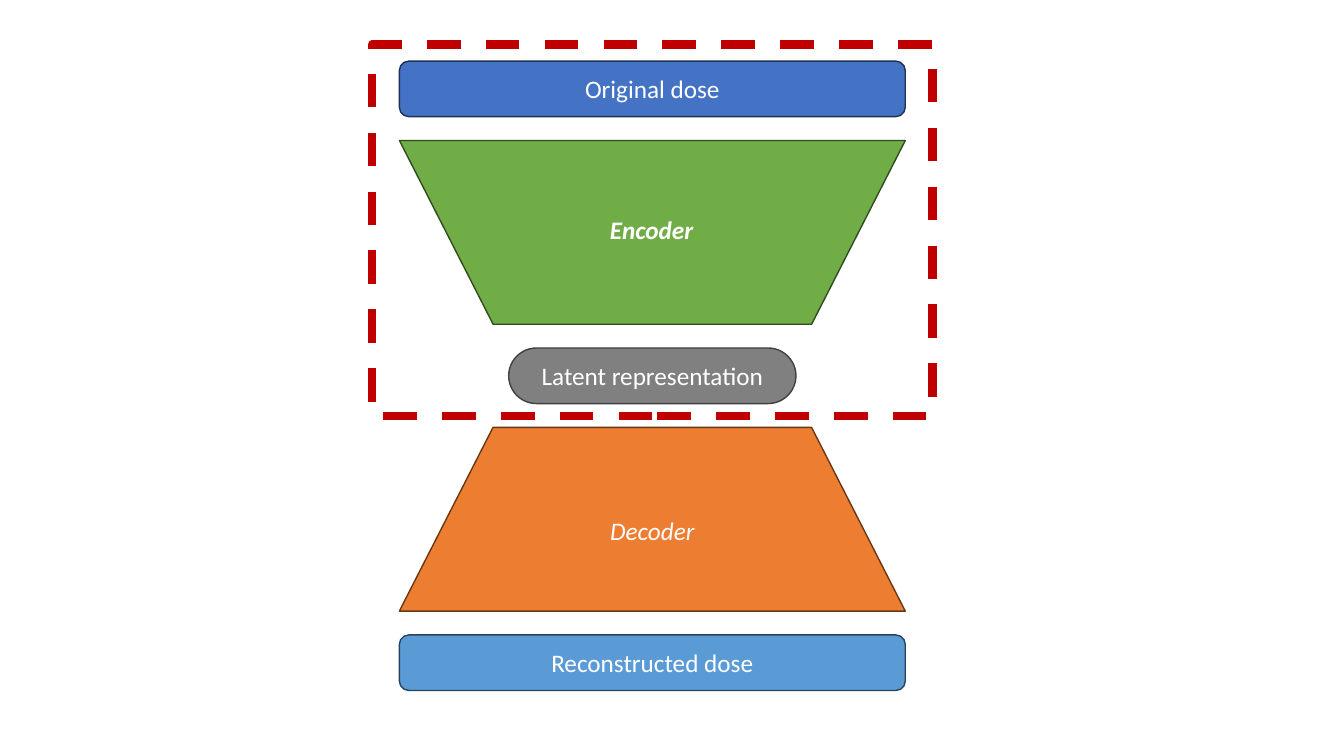
from pptx import Presentation
from pptx.dml.color import RGBColor
from pptx.enum.dml import MSO_LINE
from pptx.enum.shapes import MSO_SHAPE
from pptx.enum.text import MSO_ANCHOR, MSO_AUTO_SIZE, PP_ALIGN
from pptx.util import Cm, Pt

ROUNDED, TRAPEZOID, RECTANGLE = (
    MSO_SHAPE.ROUNDED_RECTANGLE, MSO_SHAPE.TRAPEZOID, MSO_SHAPE.RECTANGLE)
DASH = MSO_LINE.DASH
MIDDLE = MSO_ANCHOR.MIDDLE
FIT_TEXT = MSO_AUTO_SIZE.SHAPE_TO_FIT_TEXT
CENTER = PP_ALIGN.CENTER

THEME = {
    "font": "Calibri", "size": 18, "text": "FFFFFF",
    "outline": 1, "frame_line": 6, "frame": "C00000",
    "original": ("4472C4", "1E3256"),
    "encoder": ("70AD47", "314C1F"),
    "latent": ("808080", "404040"),
    "decoder": ("ED7D31", "683715"),
    "reconstructed": ("5B9BD5", "28445D"),
}


def write(holder, text, bold=None, italic=None, align=CENTER, wrap=True):
    frame = holder.text_frame
    frame.word_wrap = wrap
    frame.vertical_anchor = MIDDLE
    paragraph = frame.paragraphs[0]
    paragraph.alignment = align
    run = paragraph.add_run()
    run.text = text
    run.font.name = THEME["font"]
    run.font.size = Pt(THEME["size"])
    run.font.color.rgb = RGBColor.from_string(THEME["text"])
    run.font.bold = bold
    run.font.italic = italic


def add_block(kind, top, width, height, line_color, line_width, fill=None):
    block = slide.shapes.add_shape(
        kind, Cm(AXIS - width / 2), Cm(top), Cm(width), Cm(height))
    block.shadow.inherit = False
    if fill:
        block.fill.solid()
        block.fill.fore_color.rgb = RGBColor.from_string(fill)
    else:
        block.fill.background()
    block.line.color.rgb = RGBColor.from_string(line_color)
    block.line.width = Pt(line_width)
    return block


deck = Presentation()
deck.slide_width, deck.slide_height = Cm(33.87), Cm(19.05)
slide = deck.slides.add_slide(deck.slide_layouts[6])

AXIS, GAP = 16.44, 0.6
WIDE, NARROW = 12.75, 7.24
BAR, FUNNEL = 1.4, 4.63

stages = [
    ("original", "Original dose", ROUNDED, WIDE, BAR, 0.17, 0, None),
    ("encoder", None, TRAPEZOID, WIDE, FUNNEL, 0.51, 180, None),
    ("latent", "Latent representation", ROUNDED, NARROW, BAR, 0.5, 0, None),
    ("decoder", "Decoder", TRAPEZOID, WIDE, FUNNEL, 0.51, 0, True),
    ("reconstructed", "Reconstructed dose", ROUNDED, WIDE, BAR, 0.17, 0, None),
]

top = 1.54
for role, label, kind, width, height, corner, rotation, italic in stages:
    fill, outline = THEME[role]
    stage = add_block(kind, top, width, height, outline, THEME["outline"], fill)
    stage.adjustments[0] = corner
    stage.rotation = rotation
    if label:
        write(stage, label, italic=italic)
    top += height + GAP

encoder_frame = add_block(
    RECTANGLE, 1.12, 14.12, 9.37, THEME["frame"], THEME["frame_line"])
encoder_frame.line.dash_style = DASH

LABEL_WIDTH = 2.64
encoder_label = slide.shapes.add_textbox(
    Cm(AXIS - LABEL_WIDTH / 2), Cm(5.28), Cm(LABEL_WIDTH), Cm(1.02))
write(encoder_label, "Encoder", bold=True, italic=True, align=None, wrap=False)
encoder_label.text_frame.auto_size = FIT_TEXT

deck.save("out.pptx")
